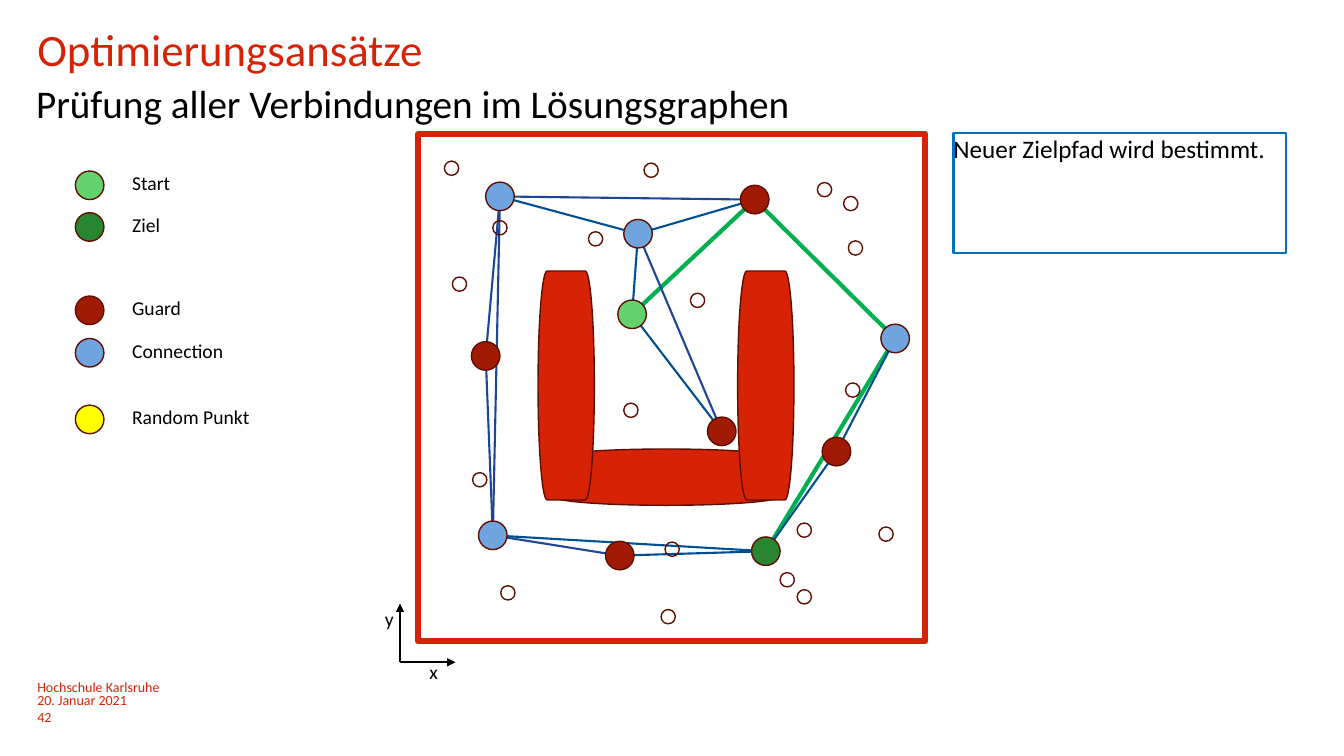
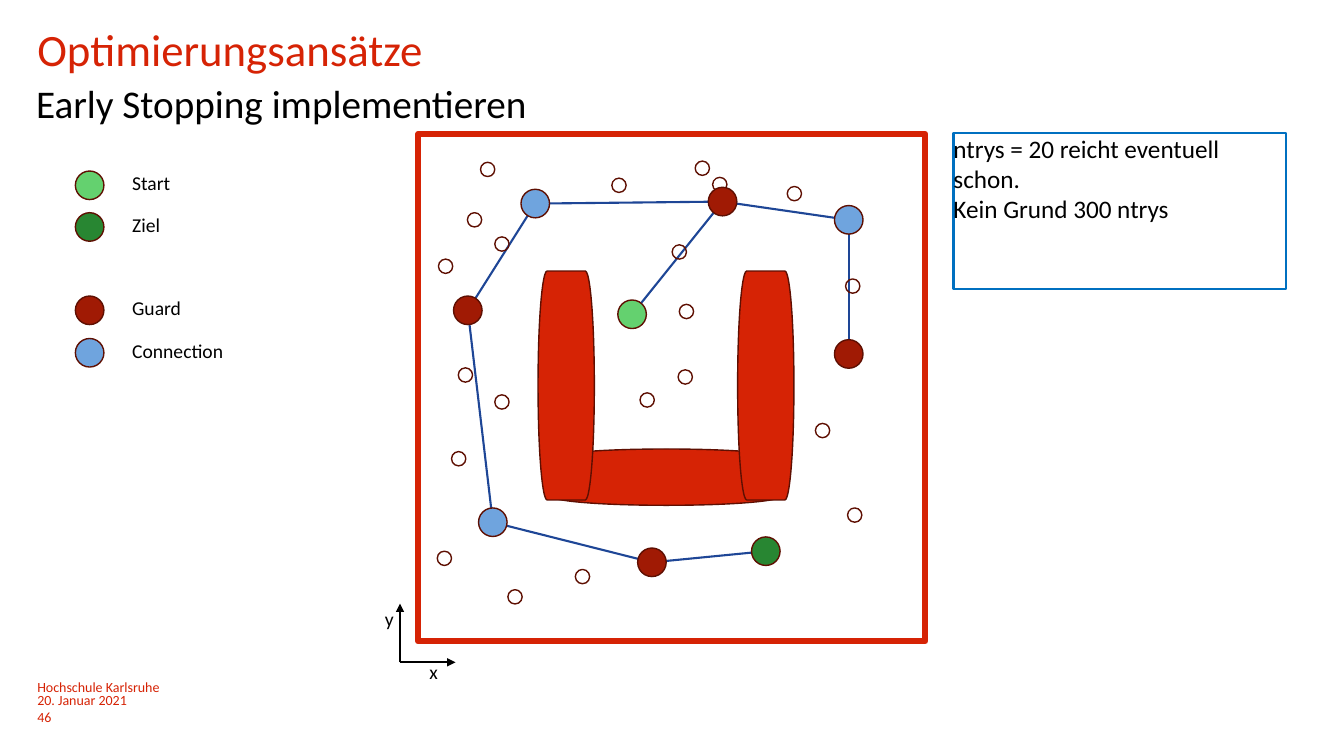
from lxml.etree import SubElement
from pptx import Presentation
from pptx.dml.color import RGBColor
from pptx.enum.shapes import MSO_CONNECTOR, MSO_SHAPE
from pptx.enum.text import MSO_ANCHOR, MSO_AUTO_SIZE, PP_ALIGN
from pptx.oxml.ns import qn
from pptx.util import Cm, Pt

BLACK = RGBColor(0x00, 0x00, 0x00)
RED = RGBColor(0xD6, 0x23, 0x05)
OUTLINE = RGBColor(0x5E, 0x0F, 0x02)
LIGHT_GREEN = RGBColor(0x64, 0xD1, 0x6F)
DARK_GREEN = RGBColor(0x28, 0x86, 0x32)
DARK_RED = RGBColor(0xA0, 0x1A, 0x04)
SKY_BLUE = RGBColor(0x6F, 0xA4, 0xDE)
YELLOW = RGBColor(0xFF, 0xFF, 0x00)
NOTE_BLUE = RGBColor(0x00, 0x70, 0xC0)
EDGE_NAVY = RGBColor(0x1E, 0x46, 0x96)
EDGE_BLUE = RGBColor(0x00, 0x4F, 0x92)
PATH_GREEN = RGBColor(0x00, 0xB0, 0x50)

FONT = "Calibri"
TEXT_FRAME_FORMAT = {
    "margin_left": 0,
    "margin_top": 0,
    "margin_right": 0,
    "margin_bottom": 0,
    "auto_size": MSO_AUTO_SIZE.NONE,
    "vertical_anchor": MSO_ANCHOR.TOP,
    "word_wrap": True,
}

NODE_SIZE = 0.72
SAMPLE_SIZE = 0.36
NODE_COLORS = {
    "Start": LIGHT_GREEN,
    "Ziel": DARK_GREEN,
    "Guard": DARK_RED,
    "Connection": SKY_BLUE,
    "Random Punkt": YELLOW,
}
LEGEND_ROWS = {
    "Start": 4.67,
    "Ziel": 5.72,
    "Guard": 7.82,
    "Connection": 8.89,
    "Random Punkt": 10.57,
}
# left, top, rotation
OBSTACLES = [(16.08, 9.14, 90), (13.56, 6.83, 0), (18.59, 6.83, 0)]
FOOTER_TOPS = (17.09, 17.42, 17.86)
START = ("Start", 15.93, 7.92)
GOAL = ("Ziel", 19.30, 13.89)

# Nodes: kind and centre. Edges: two node names, colour, width in points.
CONNECTION_CHECK = {
    "subtitle": "Prüfung aller Verbindungen im Lösungsgraphen",
    "subtitle_width": 19.66,
    "number": "42",
    "note": "Neuer Zielpfad wird bestimmt.",
    "note_height": 3.02,
    "legend": ["Start", "Ziel", "Guard", "Connection", "Random Punkt"],
    "nodes": {
        "northwest": ("Connection", 12.60, 4.95),
        "west": ("Guard", 12.24, 8.97),
        "southwest": ("Connection", 12.42, 13.49),
        "south": ("Guard", 15.62, 14.00),
        "inner north": ("Connection", 16.08, 5.89),
        "inner south": ("Guard", 18.19, 10.87),
        "north": ("Guard", 19.02, 5.03),
        "east": ("Connection", 22.56, 8.53),
        "southeast": ("Guard", 21.08, 11.38),
        "start": START,
        "goal": GOAL,
    },
    "edges": [
        ("start", "inner south", EDGE_BLUE, 1.5),
        ("northwest", "southwest", EDGE_NAVY, 1.5),
        ("goal", "east", PATH_GREEN, 3),
        ("southwest", "goal", EDGE_BLUE, 1.5),
        ("start", "north", PATH_GREEN, 3),
        ("inner north", "northwest", EDGE_BLUE, 1.5),
        ("south", "goal", EDGE_BLUE, 1.5),
        ("start", "inner north", EDGE_BLUE, 1.5),
        ("inner south", "inner north", EDGE_NAVY, 1.5),
        ("southeast", "goal", EDGE_BLUE, 1.5),
        ("west", "southwest", EDGE_NAVY, 1.5),
        ("southwest", "south", EDGE_NAVY, 1.5),
        ("north", "inner north", EDGE_BLUE, 1.5),
        ("northwest", "north", EDGE_NAVY, 1.5),
        ("northwest", "west", EDGE_NAVY, 1.5),
        ("north", "east", PATH_GREEN, 3),
        ("east", "southeast", EDGE_BLUE, 1.5),
    ],
    "samples": [
        (12.60, 5.74), (21.49, 9.83), (15.90, 10.34), (17.58, 7.57),
        (21.56, 6.25), (12.09, 12.09), (19.84, 14.61), (22.33, 13.46),
        (20.27, 15.04), (16.84, 15.54), (12.80, 14.94), (16.94, 13.84),
        (15.01, 6.02), (16.41, 4.29), (20.78, 4.78), (20.27, 13.36),
        (11.58, 7.16), (11.38, 4.24), (21.44, 5.13),
    ],
}

EARLY_STOPPING = {
    "subtitle": "Early Stopping implementieren",
    "subtitle_width": 13.28,
    "number": "46",
    "note": "ntrys = 20 reicht eventuell\nschon.\nKein Grund 300 ntrys",
    "note_height": 3.94,
    "legend": ["Start", "Ziel", "Guard", "Connection"],
    "nodes": {
        "start": START,
        "goal": GOAL,
        "west": ("Guard", 11.79, 7.82),
        "south": ("Guard", 16.43, 14.17),
        "east": ("Guard", 21.39, 8.92),
        "northwest": ("Connection", 13.49, 5.13),
        "southwest": ("Connection", 12.42, 13.16),
        "northeast": ("Connection", 21.39, 5.54),
        "north": ("Guard", 18.21, 5.08),
    },
    "edges": [
        (first, second, EDGE_NAVY, 1.5)
        for first, second in [
            ("west", "northwest"), ("west", "southwest"),
            ("northwest", "north"), ("north", "northeast"),
            ("northeast", "east"), ("southwest", "south"),
            ("south", "goal"), ("north", "start"),
        ]
    ],
    "samples": [
        (15.60, 4.67), (11.96, 5.54), (12.65, 10.13), (17.30, 7.85),
        (20.73, 10.85), (17.70, 4.24), (14.68, 14.53), (16.31, 10.08),
        (18.14, 4.65), (20.02, 4.88), (21.54, 12.98), (11.56, 11.56),
        (12.98, 15.04), (12.65, 6.15), (12.29, 4.27), (11.23, 6.71),
        (17.27, 9.50), (17.12, 6.35), (11.73, 9.45), (21.49, 7.21),
        (11.20, 14.07),
    ],
}


def write(shape, text, size, color=BLACK):
    frame = shape.text_frame
    for attribute, value in TEXT_FRAME_FORMAT.items():
        setattr(frame, attribute, value)
    frame.text = text
    for paragraph in frame.paragraphs:
        paragraph.alignment = PP_ALIGN.LEFT
        font = paragraph.font
        for attribute, value in {"name": FONT, "size": Pt(size)}.items():
            setattr(font, attribute, value)
        font.color.rgb = color


def add_label(slide, text, left, top, width, height, size, color=BLACK):
    label = slide.shapes.add_textbox(Cm(left), Cm(top), Cm(width), Cm(height))
    write(label, text, size, color)


def add_outlined(slide, preset, box, line_color, line_width, fill=None):
    """Add a preset shape; box is left, top, width and height in cm."""
    shape = slide.shapes.add_shape(preset, *(Cm(length) for length in box))
    shape.shadow.inherit = False
    shape.line.color.rgb = line_color
    shape.line.width = Pt(line_width)
    if fill is None:
        shape.fill.background()
    else:
        shape.fill.solid()
        shape.fill.fore_color.rgb = fill
    return shape


def add_circle(slide, x, y, diameter, fill=None):
    """Add a circle around the centre x, y."""
    box = (x - diameter / 2, y - diameter / 2, diameter, diameter)
    add_outlined(slide, MSO_SHAPE.OVAL, box, OUTLINE, 1, fill)


def add_line(slide, begin, end, color, width, arrow=False):
    points = (Cm(length) for length in (*begin, *end))
    line = slide.shapes.add_connector(MSO_CONNECTOR.STRAIGHT, *points)
    line.line.color.rgb = color
    line.line.width = Pt(width)
    properties = line.element.spPr
    if arrow:
        SubElement(properties.find(qn("a:ln")), qn("a:tailEnd"), type="triangle")
    SubElement(properties, qn("a:effectLst"))


def add_headings(slide, subtitle, subtitle_width):
    title = slide.shapes.title
    position = {"left": 0.94, "top": 0.84, "width": 30.3, "height": 2.46}
    for attribute, length in position.items():
        setattr(title, attribute, Cm(length))
    write(title, "Optimierungsansätze", 32, RED)
    title.text_frame.paragraphs[0].line_spacing = Pt(30)
    add_label(slide, subtitle, 0.91, 2.01, subtitle_width, 3.07, 28)


def add_footer(slide, number):
    lines = ("Hochschule Karlsruhe", "20. Januar 2021", number)
    for text, top in zip(lines, FOOTER_TOPS):
        add_label(slide, text, 0.94, top, 7.62, 0.38, 10, RED)


def add_legend(slide, kinds):
    for kind in kinds:
        y = LEGEND_ROWS[kind]
        add_circle(slide, 2.26, y, NODE_SIZE, NODE_COLORS[kind])
        add_label(slide, kind, 3.33, y - NODE_SIZE / 2, 3.2, NODE_SIZE, 14)


def add_axes(slide):
    origin = (10.08, 16.69)
    for tip in ((10.08, 15.21), (11.48, 16.69)):
        add_line(slide, origin, tip, BLACK, 1.5, arrow=True)
    add_label(slide, "x", 10.82, 16.64, 1.6, 0.72, 14)
    add_label(slide, "y", 9.70, 15.29, 0.56, 0.72, 14)


def add_workspace(slide):
    """Add the bounded area with its obstacles."""
    add_outlined(slide, MSO_SHAPE.RECTANGLE, (10.54, 3.38, 12.78, 12.78), RED, 4.5)
    for left, top, rotation in OBSTACLES:
        obstacle = add_outlined(slide, MSO_SHAPE.FLOWCHART_TERMINATOR,
                                (left, top, 1.42, 5.77), OUTLINE, 1, RED)
        obstacle.rotation = rotation


def add_roadmap(slide, nodes, edges, samples):
    for first, second, color, width in edges:
        add_line(slide, nodes[first][1:], nodes[second][1:], color, width)
    for x, y in samples:
        add_circle(slide, x, y, SAMPLE_SIZE)
    for kind, x, y in nodes.values():
        add_circle(slide, x, y, NODE_SIZE, NODE_COLORS[kind])


def add_note(slide, text, height):
    box = (24.03, 3.35, 8.38, height)
    note = add_outlined(slide, MSO_SHAPE.RECTANGLE, box, NOTE_BLUE, 1.5)
    write(note, text, 18)


def add_planning_slide(presentation, content):
    slide = presentation.slides.add_slide(presentation.slide_layouts[5])
    add_headings(slide, content["subtitle"], content["subtitle_width"])
    add_footer(slide, content["number"])
    add_workspace(slide)
    add_roadmap(slide, content["nodes"], content["edges"], content["samples"])
    add_legend(slide, content["legend"])
    add_axes(slide)
    add_note(slide, content["note"], content["note_height"])


def main():
    presentation = Presentation()
    presentation.slide_width = Cm(33.87)
    presentation.slide_height = Cm(19.05)
    for content in (CONNECTION_CHECK, EARLY_STOPPING):
        add_planning_slide(presentation, content)
    presentation.save("out.pptx")


if __name__ == "__main__":
    main()
